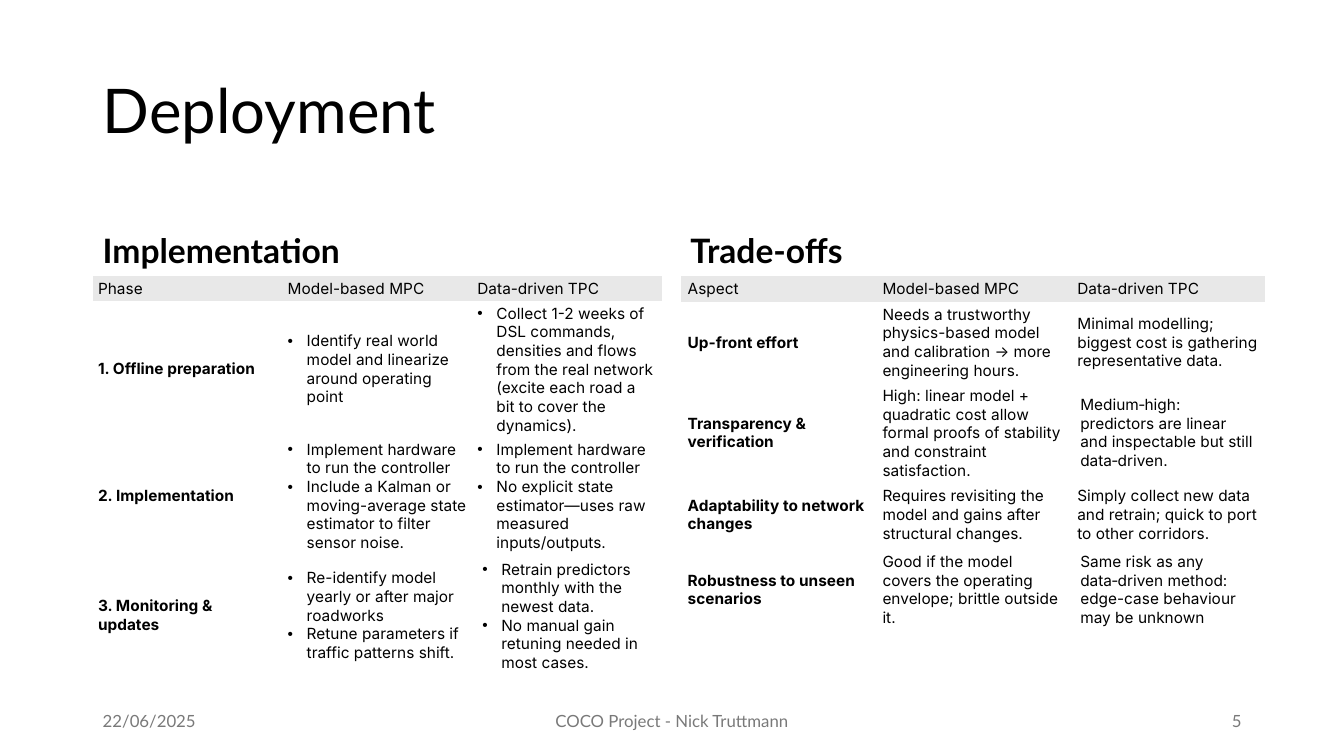
from pptx import Presentation
from pptx.dml.color import RGBColor
from pptx.enum.text import MSO_ANCHOR, PP_ALIGN
from pptx.oxml import parse_xml
from pptx.oxml.ns import nsdecls, qn
from pptx.util import Cm, Pt

LEFT, CENTER, RIGHT = PP_ALIGN.LEFT, PP_ALIGN.CENTER, PP_ALIGN.RIGHT
MIDDLE, BOTTOM = MSO_ANCHOR.MIDDLE, MSO_ANCHOR.BOTTOM
COLORS = {"text": "000000", "header": "E8E8E8", "footer": "797979"}
PLAIN_GRID = "{2D5ABB26-0587-4C30-8999-92F81FD0307C}"
TITLE_ONLY = 5
LEFT_EDGE, RIGHT_EDGE = 2.34, 17.15

IMPLEMENTATION = [
    ["Phase", "Model-based MPC", "Data-driven TPC"],
    ["1. Offline preparation",
     ["Identify real world model and linearize around operating point"],
     ["Collect 1-2 weeks of DSL commands, densities and flows from the real network "
      "(excite each road a bit to cover the dynamics)."]],
    ["2. Implementation",
     ["Implement hardware to run the controller",
      "Include a Kalman or moving-average state estimator to filter sensor noise."],
     ["Implement hardware to run the controller",
      "No explicit state estimator—uses raw measured inputs/outputs."]],
    ["3. Monitoring & updates",
     ["Re-identify model yearly or after major roadworks",
      "Retune parameters if traffic patterns shift."],
     ["Retrain predictors monthly with the newest data.",
      "No manual gain retuning needed in most cases."]],
]
TRADE_OFFS = [
    ["Aspect", "Model-based MPC", "Data-driven TPC"],
    ["Up-front effort",
     "Needs a trustworthy physics-based model and calibration → more engineering hours.",
     "Minimal modelling; biggest cost is gathering representative data."],
    ["Transparency & verification",
     "High: linear model + quadratic cost allow formal proofs of stability and "
     "constraint satisfaction.",
     "Medium‑high: predictors are linear and inspectable but still data‑driven."],
    ["Adaptability to network changes",
     "Requires revisiting the model and gains after structural changes.",
     "Simply collect new data and retrain; quick to port to other corridors."],
    ["Robustness to unseen scenarios",
     "Good if the model covers the operating envelope; brittle outside it.",
     "Same risk as any data‑driven method: edge-case behaviour may be unknown"],
]


def write(paragraph, text, font="Lato", size=12, color="text", bold=False,
          align=LEFT, spacing=None, bullet=False):
    run = paragraph.add_run()
    run.text = text
    run.font.name = font
    run.font.size = Pt(size)
    run.font.bold = bold
    run.font.color.rgb = RGBColor.from_string(COLORS[color])
    paragraph.alignment = align
    if spacing:
        paragraph.line_spacing = spacing
    if bullet:
        properties = paragraph._p.get_or_add_pPr()
        properties.set("marL", str(Cm(0.48)))
        properties.set("indent", str(-Cm(0.48)))
        properties.append(parse_xml(f'<a:buFont {nsdecls("a")} typeface="Arial"/>'))
        properties.append(parse_xml(f'<a:buChar {nsdecls("a")} char="•"/>'))


class DeploymentSlide:
    def __init__(self, presentation):
        self.slide = presentation.slides.add_slide(presentation.slide_layouts[TITLE_ONLY])

    def title(self, text, left, top, width, height):
        title = self.slide.shapes.title
        title.left, title.top = Cm(left), Cm(top)
        title.width, title.height = Cm(width), Cm(height)
        title.text_frame.vertical_anchor = MIDDLE
        write(title.text_frame.paragraphs[0], text, size=44, spacing=0.9)

    def label(self, text, left, top, width, height, anchor=MIDDLE, **style):
        box = self.slide.shapes.add_textbox(Cm(left), Cm(top), Cm(width), Cm(height))
        box.text_frame.word_wrap = True
        box.text_frame.vertical_anchor = anchor
        write(box.text_frame.paragraphs[0], text, **style)

    def table(self, content, left, top, column_width, row_heights, inset, roomy_rows):
        columns = len(content[0])
        table = self.slide.shapes.add_table(
            len(content), columns, Cm(left), Cm(top),
            Cm(column_width * columns), Cm(sum(row_heights))).table
        table._tbl.tblPr.find(qn("a:tableStyleId")).text = PLAIN_GRID
        table.horz_banding = False
        for column in table.columns:
            column.width = Cm(column_width)
        for r, (entries, height) in enumerate(zip(content, row_heights)):
            table.rows[r].height = Cm(height)
            for c, entry in enumerate(entries):
                roomy = r in roomy_rows and c == columns - 1
                self.cell(table.cell(r, c), entry, None if roomy else inset,
                          header=r == 0, bold=r > 0 and c == 0)

    def cell(self, cell, entry, inset, header, bold):
        cell.vertical_anchor = MIDDLE
        if inset:
            cell.margin_left = cell.margin_right = Cm(inset)
            cell.margin_top = cell.margin_bottom = Cm(0.08)
        if header:
            cell.fill.solid()
            cell.fill.fore_color.rgb = RGBColor.from_string(COLORS["header"])
        else:
            cell.fill.background()
        bullet = isinstance(entry, list)
        for i, text in enumerate(entry if bullet else [entry]):
            frame = cell.text_frame
            paragraph = frame.add_paragraph() if i else frame.paragraphs[0]
            write(paragraph, text, font="Inter", size=11, bold=bold, bullet=bullet)


def main():
    presentation = Presentation()
    presentation.slide_width, presentation.slide_height = Cm(33.87), Cm(19.05)
    deployment = DeploymentSlide(presentation)
    deployment.title("Deployment", LEFT_EDGE, 1.02, 29.21, 3.68)

    for heading, left in (("Implementation", LEFT_EDGE), ("Trade-offs", RIGHT_EDGE)):
        deployment.label(heading, left, 4.67, 14.35, 2.29, anchor=BOTTOM,
                         size=24, bold=True, spacing=0.9)
    deployment.table(IMPLEMENTATION, LEFT_EDGE, 6.96, 4.78,
                     [0.6, 3.43, 2.97, 3.0], inset=0.13, roomy_rows={3})
    deployment.table(TRADE_OFFS, RIGHT_EDGE, 6.96, 4.91,
                     [0.64, 2.06, 2.43, 1.65, 2.0], inset=0.18, roomy_rows={2, 4})

    for text, left, width, align in (
            ("22/06/2025", LEFT_EDGE, 7.62, LEFT),
            ("COCO Project - Nick Truttmann", 11.22, 11.43, CENTER),
            ("5", 23.92, 7.62, RIGHT)):
        deployment.label(text, left, 17.65, width, 1.02, color="footer", align=align)
    presentation.save("out.pptx")


if __name__ == "__main__":
    main()
